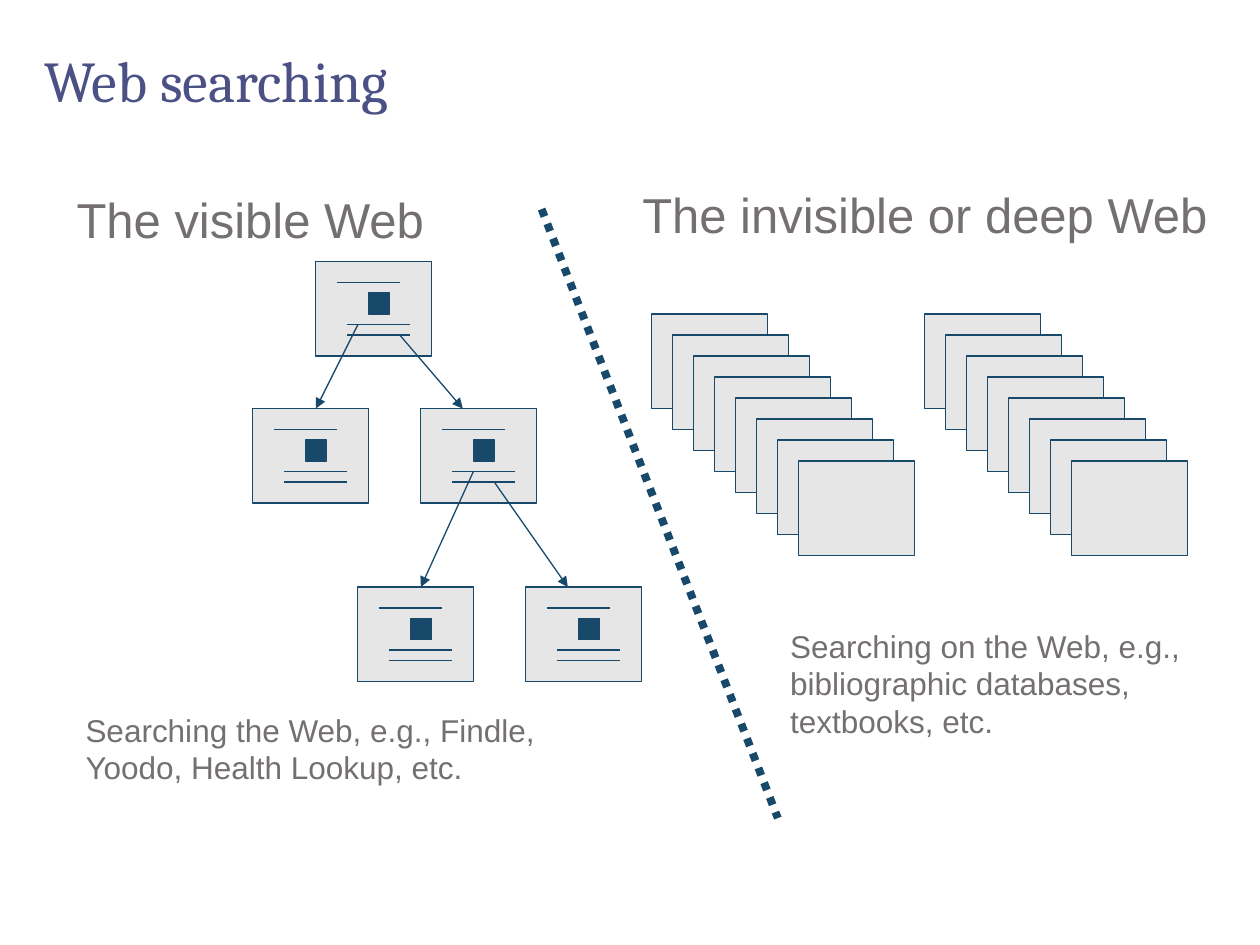
from lxml.etree import SubElement
from pptx import Presentation
from pptx.dml.color import RGBColor
from pptx.enum.dml import MSO_LINE_DASH_STYLE as Dash
from pptx.enum.shapes import MSO_CONNECTOR_TYPE as Connector, MSO_SHAPE as Preset
from pptx.enum.text import MSO_ANCHOR as Anchor, MSO_AUTO_SIZE as AutoSize, PP_ALIGN as Align
from pptx.oxml.ns import qn
from pptx.util import Pt

NAVY = "18496B"
LIGHT_GRAY = "E7E6E6"
TEXT_GRAY = "757070"
TITLE_BLUE = "4B5185"

PAGE_WIDTH, PAGE_HEIGHT = 66, 54
STEP = 12
SHEETS_PER_STACK = 8

PAGES = {
    "home": (180.5, 149.5),
    "left": (144.5, 233.5),
    "right": (240.5, 233.5),
    "lower left": (204.5, 335.5),
    "lower right": (300.5, 335.5),
}
PAGE_LINES = [(12, 12), (18, 36), (18, 42)]
LINKS = [
    ("home", (24, 36), "left", 36),
    ("home", (48, 42), "right", 24),
    ("right", (30, 36), "lower left", 36),
    ("right", (42, 42), "lower right", 24),
]
STACKS = [(372.5, 179.5), (528.5, 179.5)]

TEXTS = [
    (["Searching the Web, e.g., Findle,", "Yoodo, Health Lookup, etc."],
     (41.8, 402.5, 283, 51), 18, False),
    (["Searching on the Web, e.g., bibliographic databases, textbooks, etc."],
     (444.5, 354.5, 269, 73), 18, True),
    (["The visible Web"], (36.7, 104.5, 215, 41), 28, False),
    (["The invisible or deep Web"], (360, 102.2, 341, 41), 28, False),
]


def color(value):
    return RGBColor.from_string(value)


def apply_format(target, values):
    for name, value in values.items():
        setattr(target, name, value)


def format_paragraph(paragraph, font_name, size, hex_color, **values):
    apply_format(paragraph, values)
    apply_format(paragraph.font, {"name": font_name, "size": Pt(size)})
    paragraph.font.color.rgb = color(hex_color)


def set_title(slide, text):
    title = slide.shapes.title
    apply_format(title, {"left": Pt(18), "top": Pt(12), "width": Pt(685), "height": Pt(72)})
    apply_format(title.text_frame, {
        "text": text, "vertical_anchor": Anchor.MIDDLE, "auto_size": AutoSize.NONE})
    format_paragraph(title.text_frame.paragraphs[0], "Cambria", 33, TITLE_BLUE,
                     alignment=Align.LEFT, line_spacing=0.9)


def add_text(slide, lines, box, size, wrap):
    frame = slide.shapes.add_textbox(*map(Pt, box)).text_frame
    apply_format(frame, {
        "text": "\n".join(lines), "word_wrap": wrap, "auto_size": AutoSize.SHAPE_TO_FIT_TEXT})
    for paragraph in frame.paragraphs:
        format_paragraph(paragraph, "Arial", size, TEXT_GRAY, alignment=Align.LEFT)


def add_rectangle(slide, left, top, width, height, fill):
    shape = slide.shapes.add_shape(Preset.RECTANGLE, *map(Pt, (left, top, width, height)))
    shape.shadow.inherit = False
    shape.fill.solid()
    shape.fill.fore_color.rgb = color(fill)
    shape.line.color.rgb = color(NAVY)
    shape.line.width = Pt(0.75)


def add_line(slide, start, end, width=0.75, dash=None, arrow=False):
    connector = slide.shapes.add_connector(Connector.STRAIGHT, *map(Pt, (*start, *end)))
    connector.line.color.rgb = color(NAVY)
    apply_format(connector.line, {"width": Pt(width), "dash_style": dash})
    if arrow:
        SubElement(connector.line._get_or_add_ln(), qn("a:tailEnd"), type="triangle")
    SubElement(connector._element.spPr, qn("a:effectLst"))


def add_page(slide, left, top):
    add_rectangle(slide, left, top, PAGE_WIDTH, PAGE_HEIGHT, LIGHT_GRAY)
    for x, y in PAGE_LINES:
        add_line(slide, (left + x, top + y), (left + x + 36, top + y))
    add_rectangle(slide, left + 30, top + 18, 12, 12, NAVY)


def add_link(slide, source, offset, target, target_x):
    source_left, source_top = PAGES[source]
    target_left, target_top = PAGES[target]
    add_line(slide, (source_left + offset[0], source_top + offset[1]),
             (target_left + target_x, target_top), arrow=True)


def add_stack(slide, left, top):
    for index in range(SHEETS_PER_STACK):
        shift = index * STEP
        add_rectangle(slide, left + shift, top + shift, PAGE_WIDTH, PAGE_HEIGHT, LIGHT_GRAY)


def main():
    presentation = Presentation()
    apply_format(presentation, {"slide_width": Pt(720), "slide_height": Pt(540)})
    slide = presentation.slides.add_slide(presentation.slide_layouts[5])
    set_title(slide, "Web searching")
    for position in PAGES.values():
        add_page(slide, *position)
    for link in LINKS:
        add_link(slide, *link)
    for position in STACKS:
        add_stack(slide, *position)
    add_line(slide, (309.5, 119.5), (444.5, 467.5), width=4.5, dash=Dash.ROUND_DOT)
    for text in TEXTS:
        add_text(slide, *text)
    presentation.save("out.pptx")


if __name__ == "__main__":
    main()
